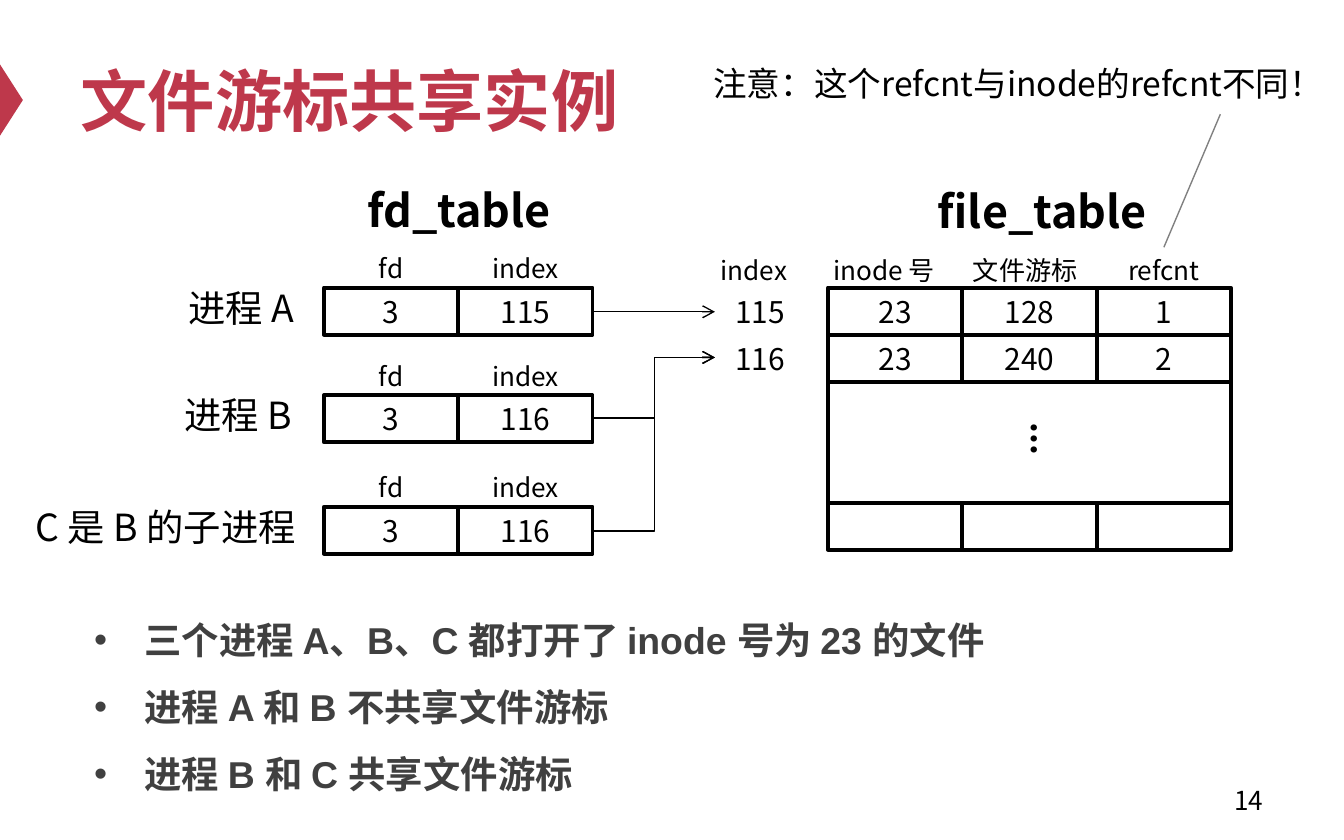
import pptx
import pptx.util
import pptx.dml.color
import pptx.enum.shapes
import pptx.enum.text
import pptx.oxml.ns
from lxml import etree

Inches, Pt = pptx.util.Inches, pptx.util.Pt
RGB = pptx.dml.color.RGBColor.from_string
SHAPE = pptx.enum.shapes.MSO_SHAPE
LINE = pptx.enum.shapes.MSO_CONNECTOR
ALIGN = pptx.enum.text.PP_ALIGN
ANCHOR = pptx.enum.text.MSO_ANCHOR
qn = pptx.oxml.ns.qn

COLORS = {"red": "BE384B", "body": "404040", "black": "000000", "gray": "808080"}
FONT = "Noto Sans CJK SC"
ROW_H = 0.35

prs = pptx.Presentation()
prs.slide_width, prs.slide_height = Inches(10), Inches(6.25)
s = prs.slides.add_slide(prs.slide_layouts[1])


def add_text(text, x, y, w, h, size, align=ALIGN.CENTER, bold=False, boxed=False, middle=False):
    """Add a text box, or an outlined cell when boxed."""
    if boxed:
        sp = s.shapes.add_shape(SHAPE.RECTANGLE, Inches(x), Inches(y), Inches(w), Inches(h))
        sp.shadow.inherit = False
        sp.fill.background()
        sp.line.color.rgb = RGB(COLORS["black"])
        sp.line.width = Pt(2)
    else:
        sp = s.shapes.add_textbox(Inches(x), Inches(y), Inches(w), Inches(h))
    tf = sp.text_frame
    tf.word_wrap = True
    tf.vertical_anchor = ANCHOR.MIDDLE if boxed or middle else ANCHOR.TOP
    p = tf.paragraphs[0]
    p.text = text
    p.alignment = align
    p.font.size = Pt(size)
    p.font.bold = bold
    p.font.color.rgb = RGB(COLORS["black"])
    p.font.name = FONT
    etree.SubElement(p._p.pPr.find(qn("a:defRPr")), qn("a:ea"), typeface=FONT)
    return sp


def add_line(kind, start, end, width, color="black", arrow=False):
    c = s.shapes.add_connector(kind, *(Inches(v) for v in (*start, *end)))
    c.line.color.rgb = RGB(COLORS[color])
    c.line.width = Pt(width)
    if arrow:
        etree.SubElement(c.line._get_or_add_ln(), qn("a:tailEnd"), type="arrow")
    etree.SubElement(c._element.spPr, qn("a:effectLst"))


# Title, its marker and the page number
marker = s.shapes.add_shape(SHAPE.ISOSCELES_TRIANGLE, Inches(-0.18), Inches(0.66), Inches(0.53), Inches(0.17))
marker.rotation = 90
marker.shadow.inherit = False
marker.fill.solid()
marker.fill.fore_color.rgb = RGB(COLORS["red"])
marker.line.fill.background()

title = s.shapes.title
title.left, title.top, title.width, title.height = Inches(0.5), Inches(0.25), Inches(9), Inches(0.98)
tf = title.text_frame
tf.vertical_anchor = ANCHOR.MIDDLE
p = tf.paragraphs[0]
p.text = "文件游标共享实例"
p.alignment = ALIGN.LEFT
p.font.size = Pt(36)
p.font.bold = True
p.font.name = "Arial"
p.font.color.rgb = RGB(COLORS["red"])

add_text("14", 7.17, 5.79, 2.33, 0.33, 14, ALIGN.RIGHT, middle=True)

# Descriptor tables, one per process
add_text("fd_table", 2.08, 1.31, 2.67, 0.5, 24, bold=True)
for label, label_x, label_w, y, index in (
    ("进程 A", 0.58, 1.71, 2.14, "115"),
    ("进程 B", 0.56, 1.71, 2.94, "116"),
    ("C 是 B 的子进程", 0.12, 2.18, 3.77, "116"),
):
    add_text(label, label_x, y - 0.07, label_w, 0.44, 20, ALIGN.RIGHT)
    for i, (head, value) in enumerate((("fd", "3"), ("index", index))):
        add_text(head, 2.53 + i, y - 0.31, 0.76, 0.34, 14)
        add_text(value, 2.41 + i, y, 1, ROW_H, 16, boxed=True)

# File table
add_text("file_table", 6.42, 1.32, 2.67, 0.5, 24, bold=True)
add_text("index", 5.23, 1.84, 0.76, 0.34, 14)
for head, x, align in (
    ("inode 号", 6.1, ALIGN.LEFT),
    ("文件游标", 7.14, ALIGN.LEFT),
    ("refcnt", 8.07, ALIGN.CENTER),
):
    add_text(head, x, 1.84, 1.18, 0.34, 14, align)
for y, index, values in (
    (2.14, "115", ("23", "128", "1")),
    (2.49, "116", ("23", "240", "2")),
    (3.74, "", ("", "", "")),
):
    if index:
        add_text(index, 5.32, y, 0.67, ROW_H, 16, middle=True)
    for col, value in enumerate(values):
        add_text(value, 6.16 + col, y, 1, ROW_H, 16, boxed=True)
for x in (6.16, 9.16):
    add_line(LINE.STRAIGHT, (x, 2.84), (x, 3.74), 2)
dots = add_text("...", 7.53, 3.09, 0.49, 0.4, 18, ALIGN.LEFT, bold=True)
dots.rotation = 90

# Links from descriptors to file table rows
for start_y, end_y in ((2.32, 2.32), (3.11, 2.66), (3.95, 2.66)):
    add_line(LINE.ELBOW, (4.42, start_y), (5.32, end_y), 0.75, arrow=True)

# Remark on refcnt
add_text("注意：这个refcnt与inode的refcnt不同！", 5.21, 0.42, 4.5, 0.4, 18, ALIGN.LEFT)
add_line(LINE.STRAIGHT, (9.08, 0.85), (8.66, 1.84), 0.75, "gray")

# Conclusions
body = s.placeholders[1]
body.left, body.top, body.width, body.height = Inches(0.6), Inches(4.54), Inches(9.08), Inches(1.29)
tf = body.text_frame
tf.auto_size = pptx.enum.text.MSO_AUTO_SIZE.NONE
tf.text = "三个进程 A、B、C 都打开了 inode 号为 23 的文件\n进程 A 和 B 不共享文件游标\n进程 B 和 C 共享文件游标"
for i, p in enumerate(tf.paragraphs):
    p.space_before = Pt(12 if i else 0)
    p.font.size = Pt(20)
    p.font.bold = True
    p.font.name = "Arial"
    p.font.color.rgb = RGB(COLORS["body"])

prs.save("out.pptx")
